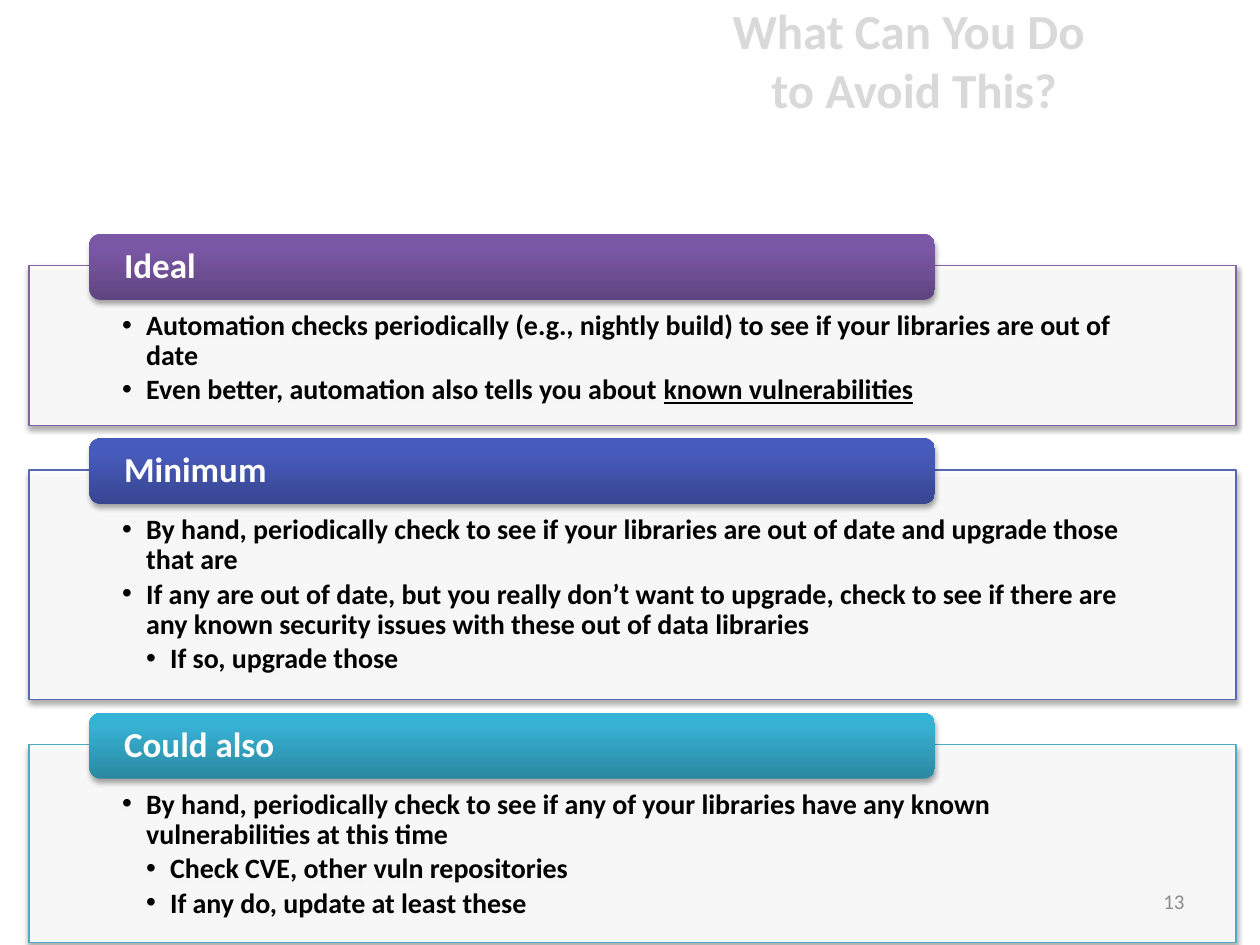
from lxml import etree
from pptx import Presentation
from pptx.dml.color import RGBColor
from pptx.enum.shapes import MSO_SHAPE
from pptx.enum.text import MSO_ANCHOR, PP_ALIGN
from pptx.oxml import parse_xml
from pptx.oxml.ns import nsdecls, qn
from pptx.util import Inches, Pt

RECTANGLE = MSO_SHAPE.RECTANGLE
ROUNDED = MSO_SHAPE.ROUNDED_RECTANGLE
TOP, MIDDLE = MSO_ANCHOR.TOP, MSO_ANCHOR.MIDDLE
LEFT, CENTER, RIGHT = PP_ALIGN.LEFT, PP_ALIGN.CENTER, PP_ALIGN.RIGHT

FONT = "Calibri"
COLORS = {
    "white": "FFFFFF",
    "black": "000000",
    "title": "D9D9D9",
    "number": "8C8C8C",
    "purple": "8064A2",
    "blue": "5767B4",
    "teal": "4BACC6",
}
GRADIENTS = {
    "purple": {0: "5F4480", 80: "7B58A6", 100: "7C57A8"},
    "blue": {0: "374691", 80: "475BBC", 100: "455ABF"},
    "teal": {0: "2A88A2", 80: "37B1D2", 100: "34B4D6"},
}
INDENT = 0.19

SECTIONS = [
    ("Ideal", "purple", 2.11, 1.27, [
        (1, ["Automation checks periodically (e.g., nightly build) to see if your "
             "libraries are out of date"]),
        (1, ["Even better, automation also tells you about ", "known vulnerabilities"]),
    ]),
    ("Minimum", "blue", 3.73, 1.82, [
        (1, ["By hand, periodically check to see if your libraries are out of date "
             "and upgrade those that are"]),
        (1, ["If any are out of date, but you really don’t want to upgrade, check to "
             "see if there are any known security issues with these out of data libraries"]),
        (2, ["If so, upgrade those"]),
    ]),
    ("Could also", "teal", 5.91, 1.57, [
        (1, ["By hand, periodically check to see if any of your libraries have any "
             "known vulnerabilities at this time"]),
        (2, ["Check CVE, other vuln repositories"]),
        (2, ["If any do, update at least these"]),
    ]),
]


def color(name):
    return RGBColor.from_string(COLORS[name])


def format_span(span, size, shade, bold=True):
    span.font.name = FONT
    span.font.size = Pt(size)
    span.font.bold = bold
    span.font.color.rgb = color(shade)


def set_frame(frame, anchor, left, top, right, bottom):
    frame.word_wrap = True
    frame.vertical_anchor = anchor
    frame.margin_left, frame.margin_right = Inches(left), Inches(right)
    frame.margin_top, frame.margin_bottom = Inches(top), Inches(bottom)


def add_text(page, text, left, top, width, height, size, shade, align, bold):
    box = page.shapes.add_textbox(Inches(left), Inches(top), Inches(width), Inches(height))
    set_frame(box.text_frame, MIDDLE, 0.1, 0.05, 0.1, 0.05)
    box.text_frame.text = text
    para = box.text_frame.paragraphs[0]
    para.alignment = align
    for span in para.runs:
        format_span(span, size, shade, bold)


def add_shadow(shape):
    shape.shadow.inherit = False
    effects = shape._element.spPr.find(qn("a:effectLst"))
    effects.append(parse_xml(
        f'<a:outerShdw {nsdecls("a")} blurRad="{Pt(3.1)}" dist="{Pt(1.8)}" '
        'dir="5400000" rotWithShape="0"><a:srgbClr val="000000">'
        '<a:alpha val="35000"/></a:srgbClr></a:outerShdw>'))


def add_gradient(shape, stops):
    marks = "".join(f'<a:gs pos="{place * 1000}"><a:srgbClr val="{shade}"/></a:gs>'
                    for place, shade in stops.items())
    shape._element.spPr.find(qn("a:prstGeom")).addnext(parse_xml(
        f'<a:gradFill {nsdecls("a")} rotWithShape="1"><a:gsLst>{marks}</a:gsLst>'
        '<a:lin ang="16200000" scaled="0"/></a:gradFill>'))


def add_bullet(para, level):
    para.level = level
    para.alignment = LEFT
    para.line_spacing = 0.9
    para.space_before = Pt(0)
    para.space_after = Pt(2.4)
    properties = para._p.get_or_add_pPr()
    properties.set("marL", str(Inches(INDENT * level)))
    properties.set("indent", str(-Inches(INDENT)))
    etree.SubElement(properties, qn("a:buFont")).set("typeface", "Arial")
    etree.SubElement(properties, qn("a:buChar")).set("char", "•")


def add_panel(page, tone, top, height, items):
    panel = page.shapes.add_shape(
        RECTANGLE, Inches(0.23), Inches(top), Inches(9.58), Inches(height))
    panel.fill.solid()
    panel.fill.fore_color.rgb = color("white")
    fill = panel._element.spPr.find(qn("a:solidFill"))
    etree.SubElement(fill[0], qn("a:alpha")).set("val", "90000")
    panel.line.color.rgb = color(tone)
    panel.line.width = Pt(0.75)
    add_shadow(panel)
    frame = panel.text_frame
    set_frame(frame, TOP, 0.74, 0.36, 0.74, 0.12)
    for index, (level, pieces) in enumerate(items):
        para = frame.add_paragraph() if index else frame.paragraphs[0]
        add_bullet(para, level)
        for place, piece in enumerate(pieces):
            span = para.add_run()
            span.text = piece
            format_span(span, 16, "black")
            if place:
                span.font.underline = True


def add_label(page, text, tone, top):
    label = page.shapes.add_shape(
        ROUNDED, Inches(0.71), Inches(top), Inches(6.71), Inches(0.52))
    add_gradient(label, GRADIENTS[tone])
    label.line.fill.background()
    add_shadow(label)
    set_frame(label.text_frame, MIDDLE, 0.25, 0, 0.25, 0)
    label.text_frame.text = text
    para = label.text_frame.paragraphs[0]
    para.alignment = LEFT
    para.line_spacing = 0.9
    format_span(para.runs[0], 20, "white")


def main():
    deck = Presentation()
    deck.slide_width, deck.slide_height = Inches(10), Inches(7.5)
    page = deck.slides.add_slide(deck.slide_layouts[6])
    add_text(page, "What Can You Do \vto Avoid This?", 4.67, 0.08, 5.17, 0.78,
             28, "title", CENTER, True)
    for heading, tone, top, height, items in SECTIONS:
        add_panel(page, tone, top, height, items)
        add_label(page, heading, tone, top - 0.25)
    add_text(page, "13", 7.17, 6.95, 2.33, 0.4, 12, "number", RIGHT, False)
    deck.save("out.pptx")


if __name__ == "__main__":
    main()
